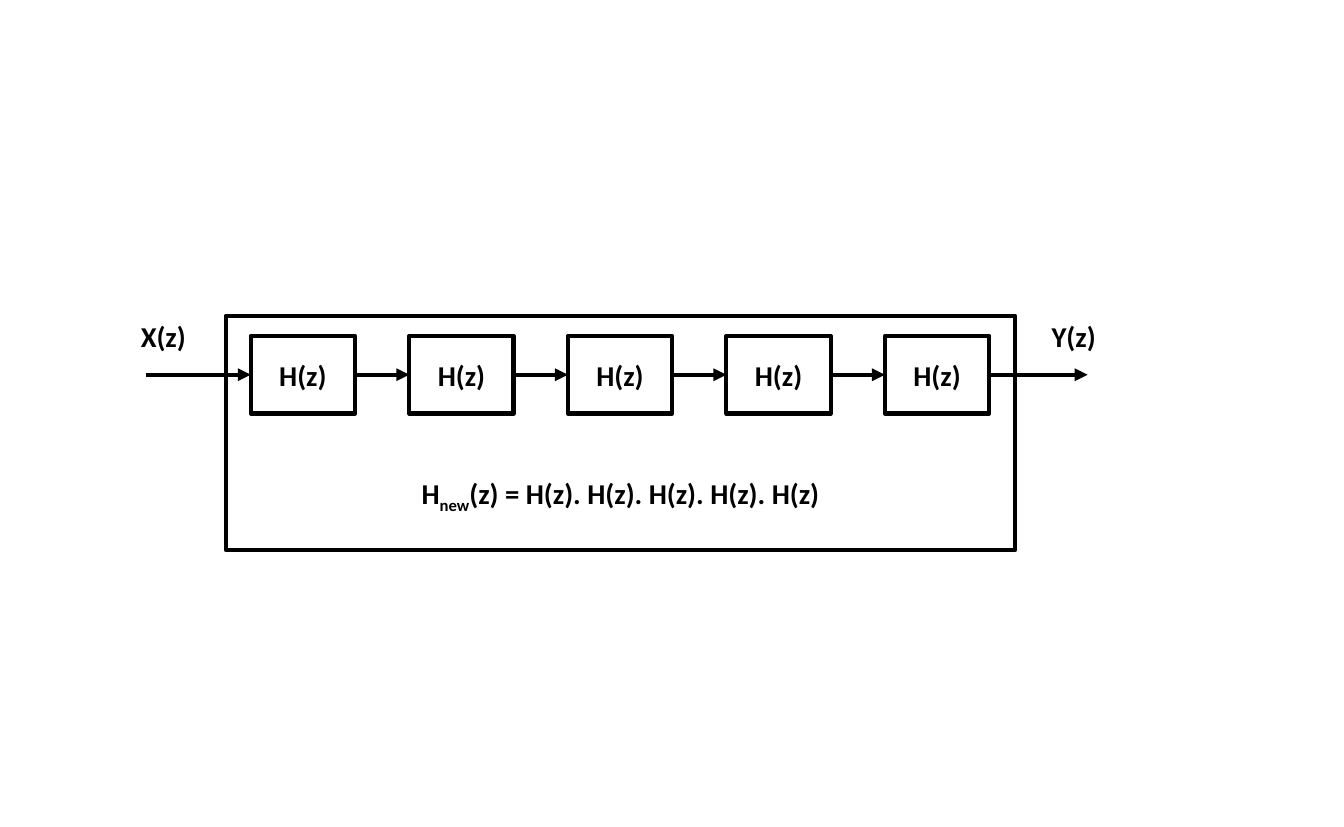
from dataclasses import dataclass

from lxml import etree
from pptx import Presentation
from pptx import util as u
from pptx.dml.color import RGBColor
from pptx.enum import shapes, text
from pptx.oxml import ns


@dataclass(frozen=True)
class Theme:
    ink: RGBColor = RGBColor(0, 0, 0)
    font: str = "Calibri"
    label_size: int = u.Pt(40)
    stroke: int = u.Pt(6)


THEME = Theme()
FONT_FORMAT = {"name": THEME.font, "size": THEME.label_size, "bold": True}
FRAME_FORMAT = {"word_wrap": True, "vertical_anchor": text.MSO_ANCHOR.MIDDLE}

STAGES = 5
STAGE_LEFT, STAGE_TOP = 12.32, 16.51
STAGE_WIDTH, STAGE_HEIGHT = 5.13, 3.81
STAGE_STEP = 7.79
SIGNAL_Y = STAGE_TOP + STAGE_HEIGHT / 2
INPUT_X, OUTPUT_X = 7.19, 53.44
SYSTEM_LEFT, SYSTEM_TOP, SYSTEM_WIDTH, SYSTEM_HEIGHT = 11.1, 15.52, 38.78, 11.51
LABEL_HEIGHT = 1.96


def apply_format(target, values):
    for name, value in values.items():
        setattr(target, name, value)


def style_line(line):
    line.color.rgb = THEME.ink
    line.width = THEME.stroke


def write(frame, *parts):
    apply_format(frame, FRAME_FORMAT)
    paragraph = frame.paragraphs[0]
    paragraph.alignment = text.PP_ALIGN.CENTER
    for wording, baseline in parts:
        run = paragraph.add_run()
        run.text = wording
        apply_format(run.font, FONT_FORMAT)
        run.font.color.rgb = THEME.ink
        if baseline:
            run._r.get_or_add_rPr().set("baseline", str(baseline))


def add_box(slide, left, top, width, height):
    box = slide.shapes.add_shape(
        shapes.MSO_SHAPE.RECTANGLE, u.Cm(left), u.Cm(top), u.Cm(width), u.Cm(height))
    box.shadow.inherit = False
    box.fill.background()
    style_line(box.line)
    return box


def add_stage(slide, index):
    stage = add_box(slide, STAGE_LEFT + index * STAGE_STEP, STAGE_TOP,
                    STAGE_WIDTH, STAGE_HEIGHT)
    write(stage.text_frame, ("H(z)", 0))
    return stage


def add_label(slide, left, top, width, *parts):
    label = slide.shapes.add_textbox(
        u.Cm(left), u.Cm(top), u.Cm(width), u.Cm(LABEL_HEIGHT))
    write(label.text_frame, *parts)


def add_signal(slide, source, target):
    y = u.Cm(SIGNAL_Y)
    signal = slide.shapes.add_connector(
        shapes.MSO_CONNECTOR.STRAIGHT, u.Cm(INPUT_X), y, u.Cm(OUTPUT_X), y)
    if source:
        signal.begin_connect(source, 3)
    if target:
        signal.end_connect(target, 1)
    style_line(signal.line)
    properties = signal._element.spPr
    etree.SubElement(properties.find(ns.qn("a:ln")), ns.qn("a:tailEnd"), type="triangle")
    etree.SubElement(properties, ns.qn("a:effectLst"))


def main():
    deck = Presentation()
    apply_format(deck, {"slide_width": u.Cm(66.04), "slide_height": u.Cm(40.64)})
    slide = deck.slides.add_slide(deck.slide_layouts[6])

    add_box(slide, SYSTEM_LEFT, SYSTEM_TOP, SYSTEM_WIDTH, SYSTEM_HEIGHT)
    stages = [add_stage(slide, index) for index in range(STAGES)]
    for source, target in zip([None, *stages], [*stages, None]):
        add_signal(slide, source, target)

    for wording, left in (("X(z)", 5.46), ("Y(z)", 50.19)):
        add_label(slide, left, SYSTEM_TOP, STAGE_WIDTH, (wording, 0))
    product = ". ".join(["H(z)"] * STAGES)
    add_label(slide, SYSTEM_LEFT, 23.37, SYSTEM_WIDTH,
              ("H", 0), ("new", -25000), (f"(z) = {product}", 0))

    deck.save("out.pptx")


if __name__ == "__main__":
    main()
